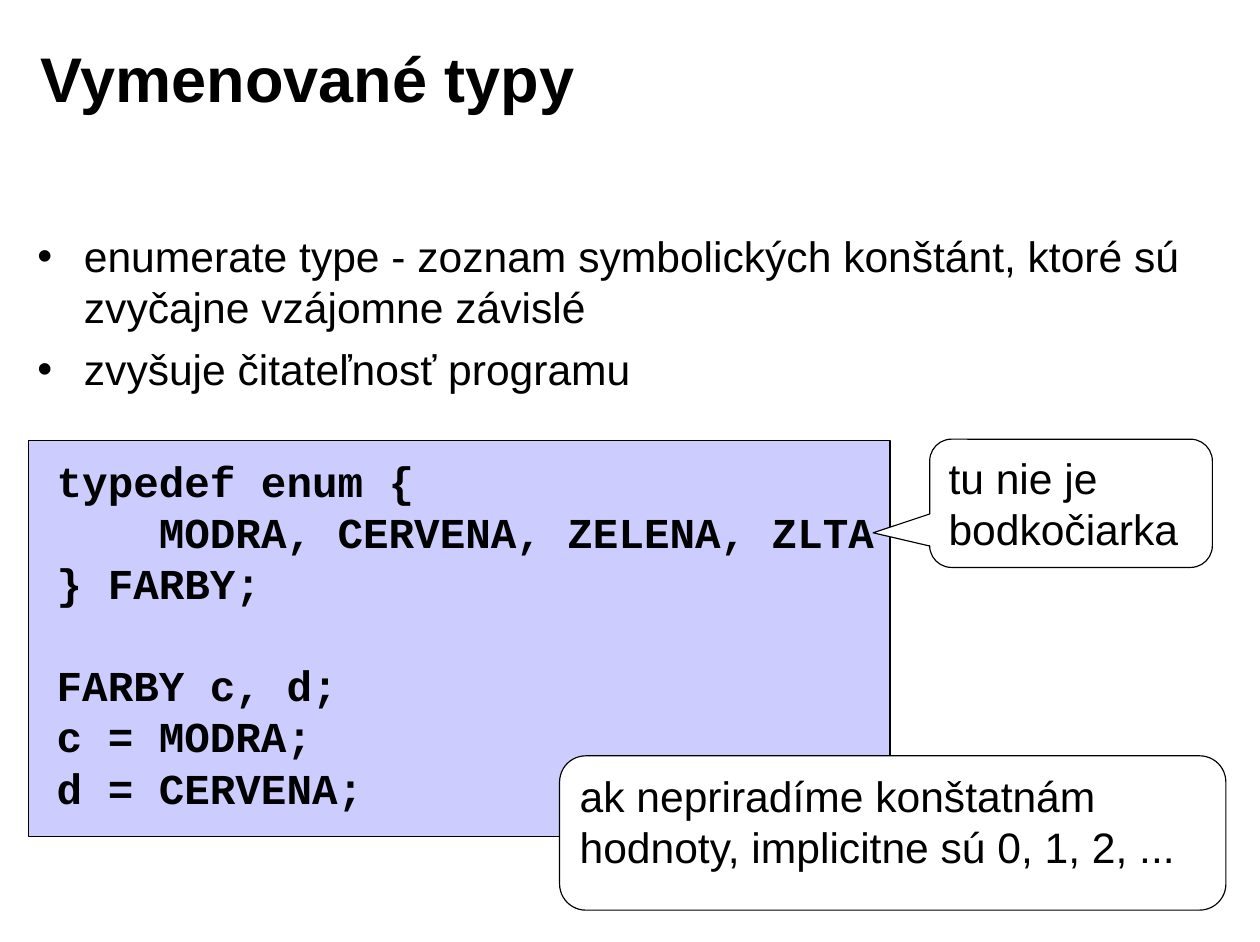
from dataclasses import dataclass

from lxml.etree import SubElement
from pptx import Presentation
from pptx.dml.color import RGBColor
from pptx.enum.shapes import MSO_SHAPE
from pptx.enum.text import MSO_ANCHOR, PP_ALIGN
from pptx.oxml.ns import qn
from pptx.util import Inches, Pt

COLORS = {"text": "000000", "line": "000000", "code": "CCCCFF", "callout": "FFFFFF"}
BODY_FONT = {"name": "Arial", "size": Pt(27), "bold": False}
CODE_FONT = {"name": "Courier New", "size": Pt(27), "bold": True}
TITLE_FONT = {"name": "Arial", "size": Pt(40), "bold": True}
LINE_PITCH = Pt(32.4)
BULLET_INDENT = Inches(0.41)
CODE_INDENT = Inches(0.9)


@dataclass
class Box:
    left: float
    top: float
    width: float
    height: float

    def lengths(self) -> list:
        return [Inches(v) for v in (self.left, self.top, self.width, self.height)]


@dataclass
class Callout:
    box: Box
    adjustments: tuple
    lines: list


BULLETS = [
    "enumerate type - zoznam symbolických konštánt, ktoré sú zvyčajne vzájomne závislé",
    "zvyšuje čitateľnosť programu",
]
CODE = [
    "typedef enum {",
    "MODRA, CERVENA, ZELENA, ZLTA",
    "} FARBY;",
    "FARBY c, d;",
    "c = MODRA;",
    "d = CERVENA;",
]
CALLOUTS = [
    Callout(Box(4.93, 6.66, 5.87, 1.36), (-0.15, -0.5, 0.17),
            ["ak nepriradíme konštatnám", "hodnoty, implicitne sú 0, 1, 2, ..."]),
    Callout(Box(8.19, 3.87, 2.49, 1.13), (-0.7, 0.23, 0.17),
            ["tu nie je bodkočiarka"]),
]


def write_text(frame, lines: list, font: dict, anchor=MSO_ANCHOR.TOP) -> list:
    """Fill a text frame, one paragraph a line, and return the paragraphs."""
    frame_format = {
        "word_wrap": True, "vertical_anchor": anchor,
        "margin_left": Inches(0.11), "margin_right": Inches(0.11),
        "margin_top": Inches(0.06), "margin_bottom": Inches(0.06),
    }
    for name, value in frame_format.items():
        setattr(frame, name, value)
    frame.text = "\n".join(lines)
    for paragraph in frame.paragraphs:
        paragraph.alignment = PP_ALIGN.LEFT
        if font is not TITLE_FONT:
            paragraph.line_spacing = LINE_PITCH
        for run in paragraph.runs:
            for name, value in font.items():
                setattr(run.font, name, value)
            run.font.color.rgb = RGBColor.from_string(COLORS["text"])
    return list(frame.paragraphs)


def add_panel(slide, kind, box: Box, fill: str):
    """Add a filled shape with a thin outline."""
    shape = slide.shapes.add_shape(kind, *box.lengths())
    shape.shadow.inherit = False
    shape.fill.solid()
    shape.fill.fore_color.rgb = RGBColor.from_string(COLORS[fill])
    shape.line.color.rgb = RGBColor.from_string(COLORS["line"])
    shape.line.width = Pt(0.75)
    return shape


def add_callout(slide, callout: Callout) -> None:
    shape = add_panel(slide, MSO_SHAPE.ROUNDED_RECTANGULAR_CALLOUT, callout.box, "callout")
    for index, value in enumerate(callout.adjustments):
        shape.adjustments[index] = value
    write_text(shape.text_frame, callout.lines, BODY_FONT)


def add_bullet(paragraph) -> None:
    properties = paragraph._p.get_or_add_pPr()
    properties.set("marL", str(BULLET_INDENT))
    properties.set("indent", str(-BULLET_INDENT))
    paragraph.space_before = Pt(6.8)
    SubElement(properties, qn("a:buFont")).set("typeface", "Arial")
    SubElement(properties, qn("a:buChar")).set("char", "•")


def main() -> None:
    presentation = Presentation()
    presentation.slide_width = Inches(11.1)
    presentation.slide_height = Inches(8.3)
    slide = presentation.slides.add_slide(presentation.slide_layouts[5])

    # Title
    title = slide.shapes.title
    title.left, title.top, title.width, title.height = Box(0.25, 0.17, 8.91, 1.02).lengths()
    write_text(title.text_frame, ["Vymenované typy"], TITLE_FONT, MSO_ANCHOR.MIDDLE)

    # Bullet list
    body = slide.shapes.add_textbox(*Box(0.22, 1.97, 10.66, 1.65).lengths())
    for paragraph in write_text(body.text_frame, BULLETS, BODY_FONT):
        add_bullet(paragraph)

    # Code panel: indented constants, a line's gap before the declarations
    add_panel(slide, MSO_SHAPE.RECTANGLE, Box(0.25, 3.88, 7.59, 3.49), "code")
    code = slide.shapes.add_textbox(*Box(0.39, 3.95, 7.6, 3.26).lengths())
    code_lines = write_text(code.text_frame, CODE, CODE_FONT)
    code_lines[1]._p.get_or_add_pPr().set("marL", str(CODE_INDENT))
    code_lines[3].space_before = LINE_PITCH

    # Callouts
    for callout in CALLOUTS:
        add_callout(slide, callout)

    presentation.save("out.pptx")


if __name__ == "__main__":
    main()
